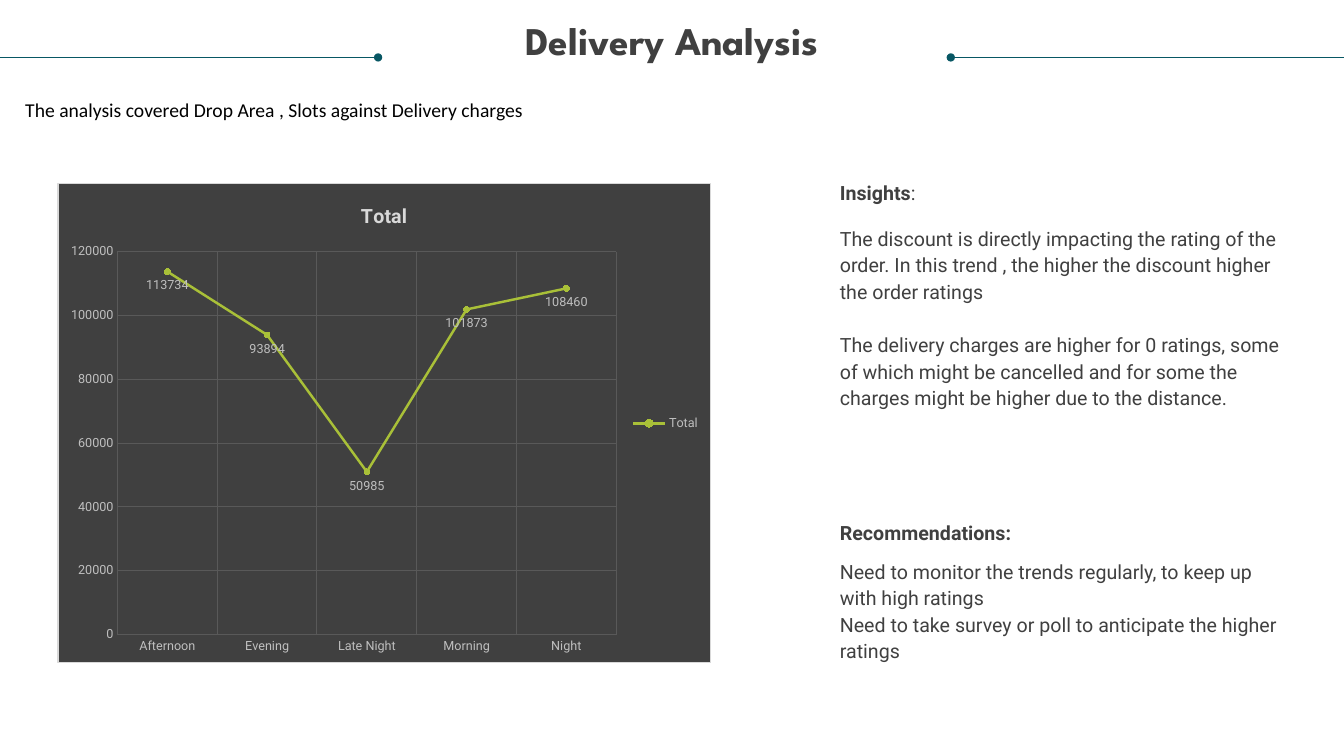
from lxml import etree
from pptx import Presentation, util as u
from pptx.chart.data import CategoryChartData
from pptx.dml.color import RGBColor
from pptx.enum import chart as ch, shapes, text
from pptx.oxml.ns import qn

DARK, TEAL, LIME = "404040", "085764", "A9C038"
LABEL, PALE, GRID = "BFBFBF", "D9D9D9", "595959"
BODY = dict(name="Roboto", size=u.Pt(14), bold=False, color=DARK)
HEADING = {**BODY, "bold": True}
SMALL = dict(name="Roboto", size=u.Pt(9), color=LABEL)


def rgb(value):
    return RGBColor.from_string(value)


def style_font(font, formats):
    for key, value in formats.items():
        if key == "color":
            font.color.rgb = rgb(value)
        else:
            setattr(font, key, value)


def style_line(line, color, points):
    line.color.rgb = rgb(color)
    line.width = u.Pt(points)


def inches(*lengths):
    return [u.Inches(length) for length in lengths]


def prepare_frame(frame):
    formats = dict(margin_left=0, margin_top=0, margin_right=0, margin_bottom=0,
                   word_wrap=True, vertical_anchor=text.MSO_ANCHOR.TOP)
    for key, value in formats.items():
        setattr(frame, key, value)


def add_text(page, box, paragraphs, gap=0):
    """Each paragraph is a list of (words, formats) spans."""
    frame = page.shapes.add_textbox(*inches(*box)).text_frame
    prepare_frame(frame)
    for index, spans in enumerate(paragraphs):
        para = frame.add_paragraph() if index else frame.paragraphs[0]
        para.line_spacing = u.Pt(19)
        para.space_before = u.Pt(gap if index else 0)
        for words, formats in spans:
            span = para.add_run()
            span.text = words
            style_font(span.font, formats)


def add_rule(page, start, end, y):
    """Thin rule with a dot where it ends."""
    rule = page.shapes.add_connector(
        shapes.MSO_CONNECTOR.STRAIGHT, *inches(start, y, end, y))
    style_line(rule.line, TEAL, 0.5)
    etree.SubElement(rule.line._get_or_add_ln(), qn("a:tailEnd"), type="oval")
    etree.SubElement(rule._element.spPr, qn("a:effectLst"))


def add_header(page, box):
    left, top, width, height = box
    # Title
    title = page.shapes.title
    title.left, title.top, title.width, title.height = inches(
        left + 0.25, top + 0.21, width - 0.5, height - 0.21)
    prepare_frame(title.text_frame)
    title.text_frame.text = "Delivery Analysis"
    title.text_frame.auto_size = text.MSO_AUTO_SIZE.NONE
    para = title.text_frame.paragraphs[0]
    para.alignment = text.PP_ALIGN.CENTER
    para.line_spacing = 0.9
    style_font(para.runs[0].font, dict(
        name="League Spartan", size=u.Pt(28), bold=True, color=DARK))
    # Rules either side
    add_rule(page, left, left + 3.75, top + 0.57)
    add_rule(page, left + width, left + 9.43, top + 0.57)


def fill_background(chart):
    """Dark chart area with a thin pale border."""
    area = etree.Element(qn("c:spPr"))
    line = etree.Element(qn("a:ln"), w=str(u.Pt(0.75)))
    for parent, color in ((area, DARK), (line, PALE)):
        fill = etree.SubElement(parent, qn("a:solidFill"))
        etree.SubElement(fill, qn("a:srgbClr"), val=color)
    area.append(line)
    chart._chartSpace.chart.addnext(area)


def add_delivery_chart(page, box):
    data = CategoryChartData()
    data.categories = ["Afternoon", "Evening", "Late Night", "Morning", "Night"]
    data.add_series("Total", [113734, 93894, 50985, 101873, 108460])
    chart = page.shapes.add_chart(
        ch.XL_CHART_TYPE.LINE_MARKERS, *inches(*box), data).chart
    style_font(chart.font, {**SMALL, "size": u.Pt(10)})
    fill_background(chart)

    # Title and legend
    chart.has_title = True
    heading = chart.chart_title.text_frame
    heading.text = "Total"
    style_font(heading.paragraphs[0].runs[0].font, {**HEADING, "color": PALE})
    chart.chart_title.include_in_layout = False
    chart.has_legend = True
    chart.legend.position = ch.XL_LEGEND_POSITION.RIGHT
    chart.legend.include_in_layout = False
    style_font(chart.legend.font, SMALL)

    # Axes
    for axis in (chart.category_axis, chart.value_axis):
        axis.has_major_gridlines = True
        style_line(axis.major_gridlines.format.line, GRID, 0.75)
        axis.format.line.fill.background()
        axis.major_tick_mark = ch.XL_TICK_MARK.NONE
        style_font(axis.tick_labels.font, SMALL)
    for key, value in dict(minimum_scale=0, maximum_scale=120000,
                           major_unit=20000).items():
        setattr(chart.value_axis, key, value)

    # Series
    plot = chart.plots[0]
    plot.vary_by_categories = False
    series = plot.series[0]
    series.smooth = False
    style_line(series.format.line, LIME, 1.75)
    series.marker.style = ch.XL_MARKER_STYLE.CIRCLE
    series.marker.size = 4
    series.marker.format.fill.solid()
    series.marker.format.fill.fore_color.rgb = rgb(LIME)
    style_line(series.marker.format.line, LIME, 0.75)
    labels = series.data_labels
    labels.show_value = True
    labels.position = ch.XL_LABEL_POSITION.BELOW
    style_font(labels.font, SMALL)


def add_findings(page, box):
    left, top, width, height = box
    # Insights
    add_text(page, (left, top, width, 0.24), [[("Insights", HEADING), (":", BODY)]])
    add_text(page, (left, top + 0.46, width, 1.84), [
        [("The discount is directly impacting the rating of the order. In this "
          "trend , the higher the discount higher the order ratings", BODY)],
        [("The delivery charges are higher for 0 ratings, some of which might be "
          "cancelled and for some the charges might be higher due to the distance.",
          BODY)]], gap=19)
    # Recommendations
    bottom = top + height
    add_text(page, (left, bottom - 1.45, width, 0.24), [[("Recommendations:", HEADING)]])
    add_text(page, (left, bottom - 1.07, width, 1.07), [
        [("Need to monitor the trends regularly, to keep up with high ratings", BODY)],
        [("Need to take survey or poll to anticipate the higher ratings", BODY)]])


def main():
    deck = Presentation()
    deck.slide_width, deck.slide_height = inches(13.33, 7.5)
    page = deck.slides.add_slide(deck.slide_layouts[5])
    add_header(page, (0, 0, 13.33, 1.06))
    add_text(page, (0.25, 0.94, 11.91, 0.25), [
        [("The analysis covered Drop Area , Slots against Delivery charges",
          {**BODY, "name": "Calibri", "color": "000000"})]])
    add_delivery_chart(page, (0.57, 1.82, 6.48, 4.76))
    add_findings(page, (8.33, 1.76, 4.43, 4.83))
    deck.save("out.pptx")


if __name__ == "__main__":
    main()
